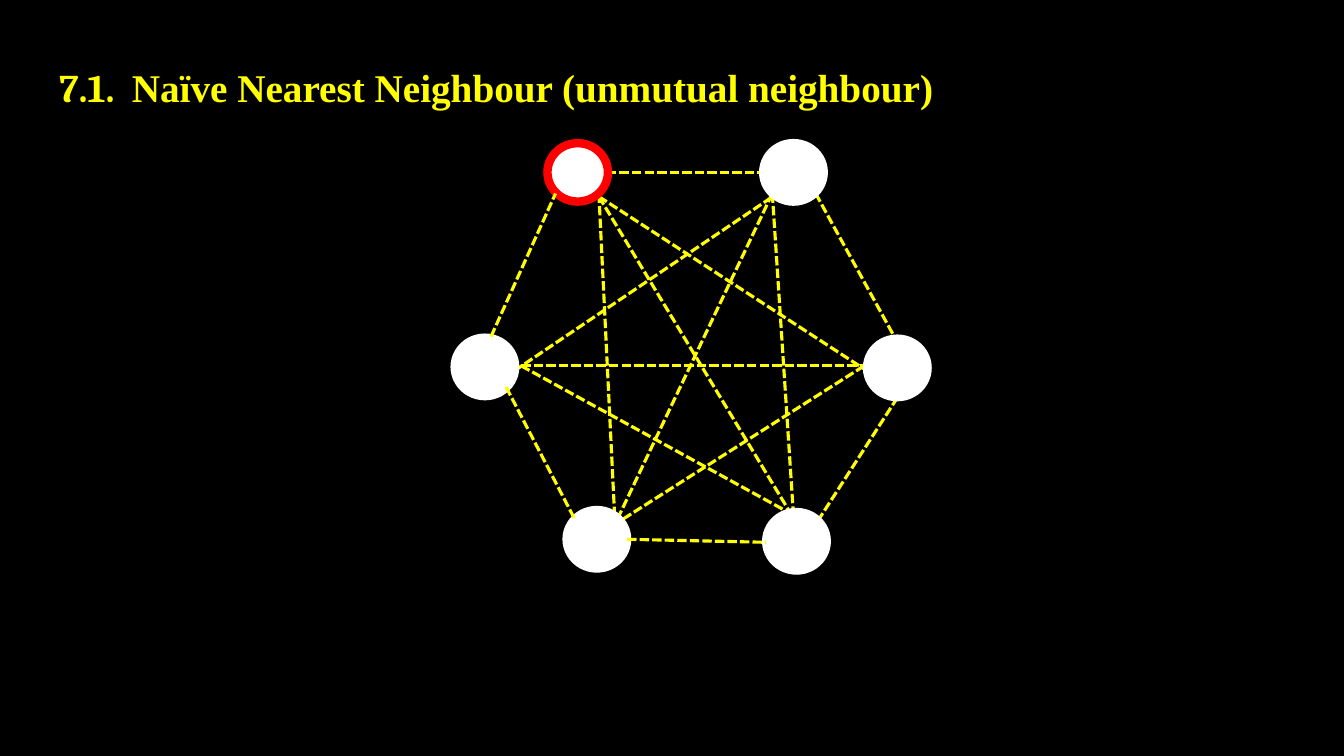
from lxml.etree import SubElement
from pptx import Presentation
from pptx.dml.color import RGBColor
from pptx.enum.dml import MSO_LINE
from pptx.enum.shapes import MSO_CONNECTOR, MSO_SHAPE
from pptx.enum.text import MSO_AUTO_SIZE
from pptx.oxml.ns import qn
from pptx.util import Inches, Pt

COLORS = {"background": "000000", "yellow": "FFFF00", "node": "FFFFFF", "start": "FF0000"}
NODE_W, NODE_H = 0.6, 0.58

# Left and top of each node, with its ring colour
NODES = [
    (5.43, 1.42, "start"),
    (7.57, 1.42, "node"),
    (4.51, 3.35, "node"),
    (5.62, 5.06, "node"),
    (7.6, 5.08, "node"),
    (8.6, 3.36, "node"),
]

# Edges as start and end points
EDGES_BEHIND = [
    ((8.11, 5.17), (8.91, 3.93)),
    ((8.57, 3.63), (6.1, 5.2)),
    ((5.94, 1.95), (8.57, 3.66)),
    ((5.17, 3.63), (8.57, 3.63)),
    ((7.66, 1.92), (6.1, 5.2)),
    ((7.66, 1.92), (7.87, 5.11)),
    ((5.94, 1.95), (7.87, 5.14)),
    ((5.94, 1.92), (6.1, 5.2)),
    ((8.09, 1.92), (8.87, 3.34)),
    ((6.02, 1.71), (7.57, 1.71)),
    ((5.17, 3.63), (7.87, 5.11)),
    ((5.1, 3.68), (7.65, 1.96)),
]
EDGES_IN_FRONT = [
    ((4.87, 3.34), (5.51, 1.92)),
    ((5.02, 3.84), (5.7, 5.15)),
    ((6.22, 5.35), (7.6, 5.38)),
]


def rgb(name):
    return RGBColor.from_string(COLORS[name])


def add_edge(s, start, end):
    points = [Inches(v) for v in (*start, *end)]
    edge = s.shapes.add_connector(MSO_CONNECTOR.STRAIGHT, *points)
    edge.line.color.rgb = rgb("yellow")
    edge.line.width = Pt(2.25)
    edge.line.dash_style = MSO_LINE.SQUARE_DOT
    SubElement(edge._element.spPr, qn("a:effectLst"))


def add_node(s, left, top, ring):
    box = [Inches(v) for v in (left, top, NODE_W, NODE_H)]
    node = s.shapes.add_shape(MSO_SHAPE.OVAL, *box)
    node.shadow.inherit = False
    node.fill.solid()
    node.fill.fore_color.rgb = rgb("node")
    node.line.color.rgb = rgb(ring)
    node.line.width = Pt(6)


def add_run(p, text, font):
    r = p.add_run()
    r.text = text
    r.font.name = font
    r.font.size = Pt(28)
    r.font.bold = True
    r.font.color.rgb = rgb("yellow")


def add_title(s):
    box = s.shapes.add_textbox(Inches(0.49), Inches(0.55), Inches(12.2), Inches(0.58))
    tf = box.text_frame
    tf.word_wrap = True
    tf.auto_size = MSO_AUTO_SIZE.SHAPE_TO_FIT_TEXT
    p = tf.paragraphs[0]
    p.line_spacing = 1.07
    p.space_after = Pt(8)
    add_run(p, "7.1.  ", "Cambria")
    add_run(p, "Naïve Nearest Neighbour (unmutual neighbour)", "Times New Roman")


def main():
    prs = Presentation()
    prs.slide_width, prs.slide_height = Inches(13.33), Inches(7.5)
    s = prs.slides.add_slide(prs.slide_layouts[6])
    s.background.fill.solid()
    s.background.fill.fore_color.rgb = rgb("background")

    add_title(s)
    for start, end in EDGES_BEHIND:
        add_edge(s, start, end)
    for left, top, ring in NODES:
        add_node(s, left, top, ring)
    for start, end in EDGES_IN_FRONT:
        add_edge(s, start, end)
    prs.save("out.pptx")


if __name__ == "__main__":
    main()
